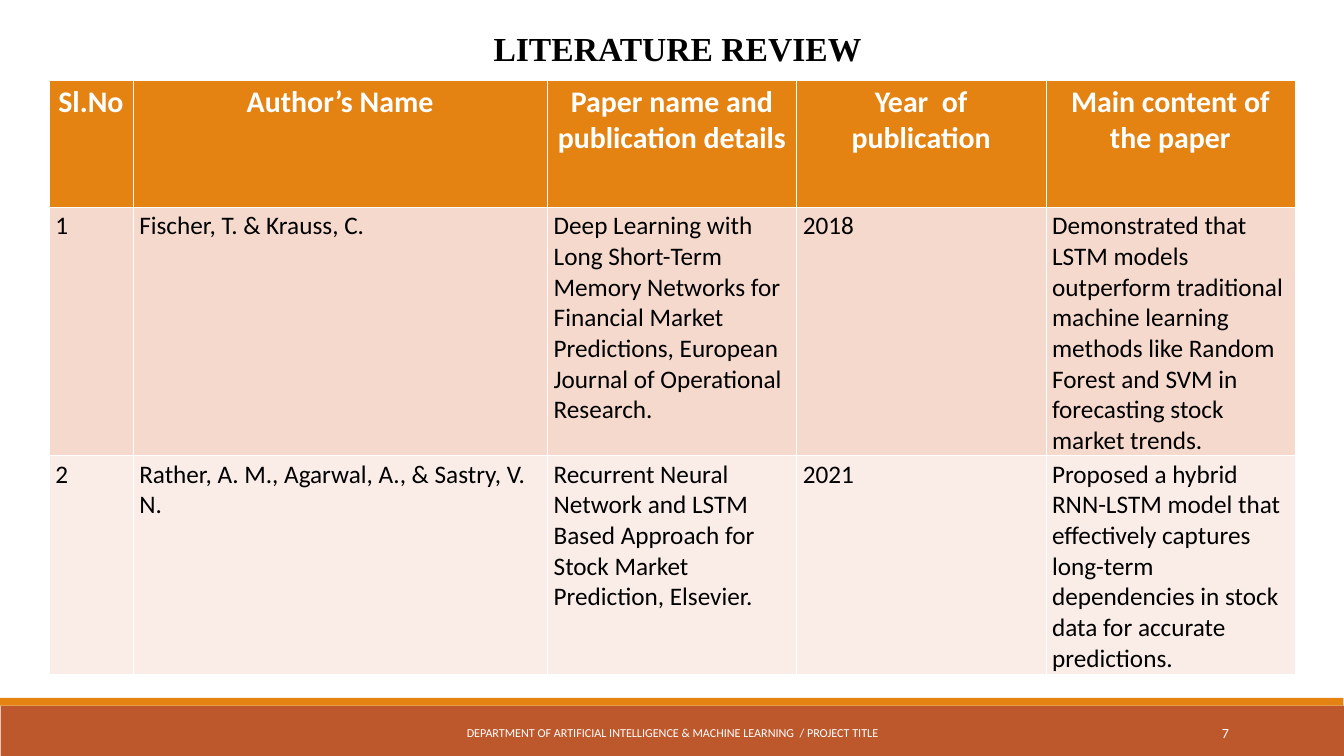
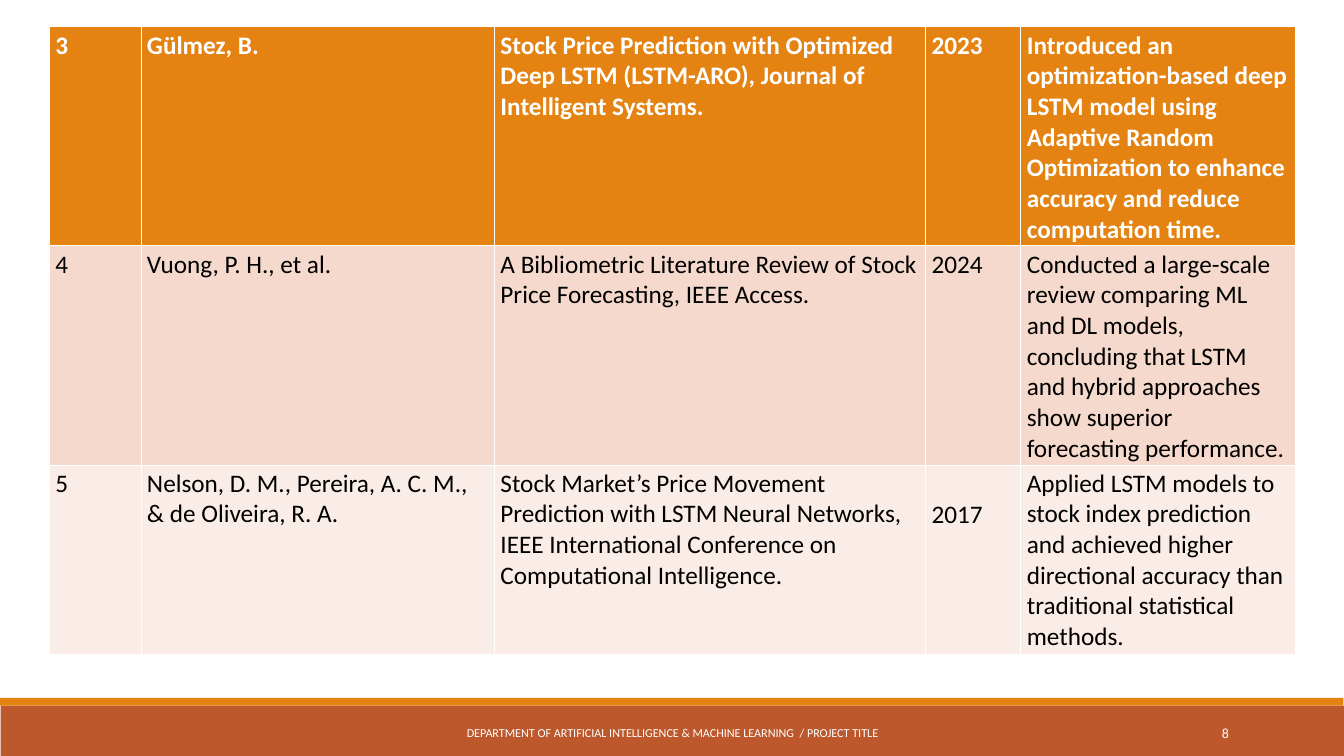
"""Builds the two literature review slides with their shared footer and table style."""
from lxml.etree import SubElement
from pptx import Presentation
from pptx.dml.color import RGBColor
from pptx.enum.shapes import MSO_SHAPE as Shape
from pptx.enum.text import MSO_ANCHOR as Anchor, PP_ALIGN as Align
from pptx.oxml.ns import qn
from pptx.util import Emu, Pt

EMU_PER_PX = 9525
WHITE = RGBColor(0xFF, 0xFF, 0xFF)
BLACK = RGBColor(0x00, 0x00, 0x00)
ORANGE = RGBColor(0xE4, 0x83, 0x12)
RUST = RGBColor(0xBD, 0x58, 0x2C)
ROW_FILLS = (ORANGE, RGBColor(0xF5, 0xD9, 0xCC), RGBColor(0xFA, 0xED, 0xE7))
BODY_FONT = "Calibri"
TITLE_FONT = "Times New Roman"
BODY_SIZE = 27
FOOTER = "DEPARTMENT OF ARTIFICIAL INTELLIGENCE & MACHINE LEARNING  / PROJECT TITLE"
TABLE_LEFT = 70
CELL_TOP = 5
LINE_HEIGHT = 44
THIN, THICK = 0.45, 1.47

FIRST_PAPERS = [
    ("Sl.No", "Author’s Name", "Paper name and publication details",
     "Year  of publication", "Main content of the paper"),
    ("1", "Fischer, T. & Krauss, C.",
     "Deep Learning with Long Short-Term Memory Networks for Financial Market "
     "Predictions, European Journal of Operational Research.",
     "2018",
     "Demonstrated that LSTM models outperform traditional machine learning methods "
     "like Random Forest and SVM in forecasting stock market trends."),
    ("2", "Rather, A. M., Agarwal, A., & Sastry, V. N.",
     "Recurrent Neural Network and LSTM Based Approach for Stock Market "
     "Prediction, Elsevier.",
     "2021",
     "Proposed a hybrid RNN-LSTM model that effectively captures long-term "
     "dependencies in stock data for accurate predictions."),
]
LATER_PAPERS = [
    ("3", "Gülmez, B.",
     "Stock Price Prediction with Optimized Deep LSTM (LSTM-ARO), Journal of "
     "Intelligent Systems.",
     "2023",
     "Introduced an optimization-based deep LSTM model using Adaptive Random "
     "Optimization to enhance accuracy and reduce computation time."),
    ("4", "Vuong, P. H., et al.",
     "A Bibliometric Literature Review of Stock Price Forecasting, IEEE Access.",
     "2024",
     "Conducted a large-scale review comparing ML and DL models, concluding that "
     "LSTM and hybrid approaches show superior forecasting performance."),
    ("5", "Nelson, D. M., Pereira, A. C. M., & de Oliveira, R. A.",
     "Stock Market’s Price Movement Prediction with LSTM Neural Networks, IEEE "
     "International Conference on Computational Intelligence.",
     "2017",
     "Applied LSTM models to stock index prediction and achieved higher "
     "directional accuracy than traditional statistical methods."),
]


def px(length):
    return Emu(length * EMU_PER_PX)


class Deck:
    def __init__(self):
        self.prs = Presentation()
        self.prs.slide_width, self.prs.slide_height = px(1920), px(1080)
        self.slide = None

    def new_slide(self, number):
        self.slide = self.prs.slides.add_slide(self.prs.slide_layouts[6])
        self.band(1, 1008, 1919, 72, RUST)
        self.band(0, 997, 1919, 11, ORANGE)
        self.text(581, 1018, 759, 58, FOOTER, 13)
        self.text(1559, 1018, 206, 58, str(number), 15, align=Align.RIGHT)

    def band(self, left, top, width, height, color):
        band = self.slide.shapes.add_shape(
            Shape.RECTANGLE, px(left), px(top), px(width), px(height))
        band.shadow.inherit = False
        band.fill.solid()
        band.fill.fore_color.rgb = color
        band.line.fill.background()

    def style(self, paragraph, size, color, bold=False, font=BODY_FONT, align=Align.LEFT):
        paragraph.alignment = align
        for run in paragraph.runs:
            run.font.name = font
            run.font.size = Pt(size)
            run.font.bold = bold
            run.font.color.rgb = color

    def text(self, left, top, width, height, words, size, align=Align.CENTER,
             anchor=Anchor.MIDDLE, color=WHITE, **look):
        frame = self.slide.shapes.add_textbox(
            px(left), px(top), px(width), px(height)).text_frame
        frame.word_wrap = True
        frame.vertical_anchor = anchor
        frame.text = words
        self.style(frame.paragraphs[0], size, color, align=align, **look)
        return frame.paragraphs[0]

    def title(self, words):
        title = self.text(59, 7, 1770, 96, words, 36, anchor=Anchor.TOP,
                          color=BLACK, bold=True, font=TITLE_FONT)
        title.line_spacing = 1.5
        properties = title._p.get_or_add_pPr()
        properties.set("marL", str(px(48)))
        properties.set("indent", "0")

    def borders(self, cell, top, bottom):
        properties = cell._tc.get_or_add_tcPr()
        for side, width in (("L", THIN), ("R", THIN), ("T", top), ("B", bottom)):
            line = SubElement(properties, qn(f"a:ln{side}"), w=str(Pt(width)))
            fill = SubElement(line, qn("a:solidFill"))
            SubElement(fill, qn("a:srgbClr"), val=str(WHITE))

    def table(self, top, widths, heights, rows, head_size=BODY_SIZE, head_align=Align.LEFT):
        table = self.slide.shapes.add_table(
            len(rows), len(widths), px(TABLE_LEFT), px(top),
            px(sum(widths)), px(sum(heights))).table
        for column, width in zip(table.columns, widths):
            column.width = px(width)
        for r, (row, height) in enumerate(zip(rows, heights)):
            table.rows[r].height = px(height)
            for c, words in enumerate(row):
                cell = table.cell(r, c)
                cell.margin_left = cell.margin_right = px(9)
                cell.margin_top, cell.margin_bottom = px(CELL_TOP), 0
                self.borders(cell, THICK if r == 1 else THIN, THICK if r == 0 else THIN)
                cell.fill.solid()
                cell.fill.fore_color.rgb = ROW_FILLS[r]
                cell.text_frame.text = words
                paragraph = cell.text_frame.paragraphs[0]
                if r == 0:
                    self.style(paragraph, head_size, WHITE, bold=True, align=head_align)
                else:
                    self.style(paragraph, BODY_SIZE, BLACK)
        return table


def main():
    deck = Deck()

    deck.new_slide(7)
    deck.title("LITERATURE REVIEW")
    deck.table(115, (120, 592, 356, 356, 356), (181, 355, 312), FIRST_PAPERS,
               head_size=32, head_align=Align.CENTER)

    deck.new_slide(8)
    later = deck.table(38, (131, 505, 616, 136, 392), (313, 313, 270), LATER_PAPERS)
    later.cell(2, 3).margin_top = px(CELL_TOP + LINE_HEIGHT)

    deck.prs.save("out.pptx")


if __name__ == "__main__":
    main()
